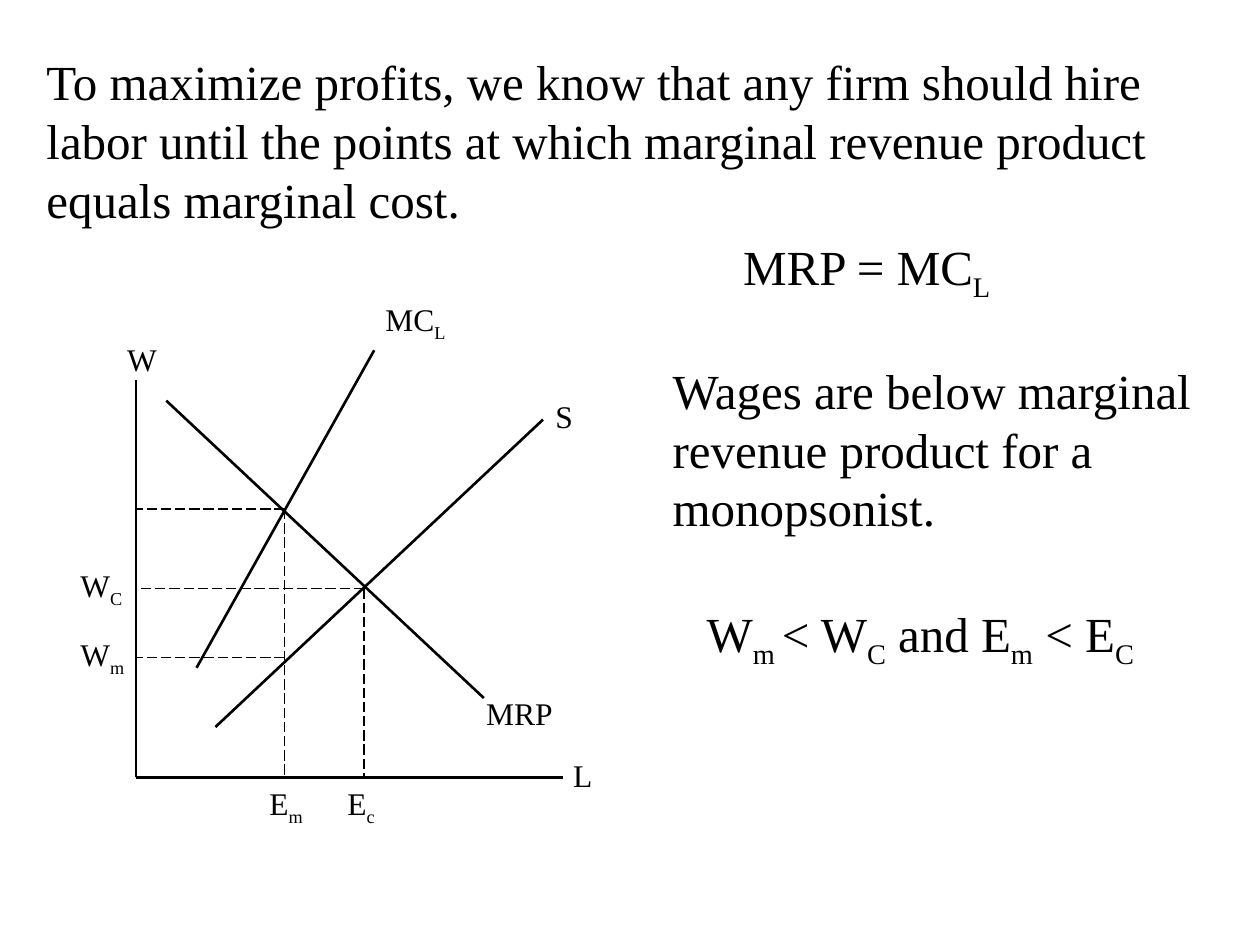
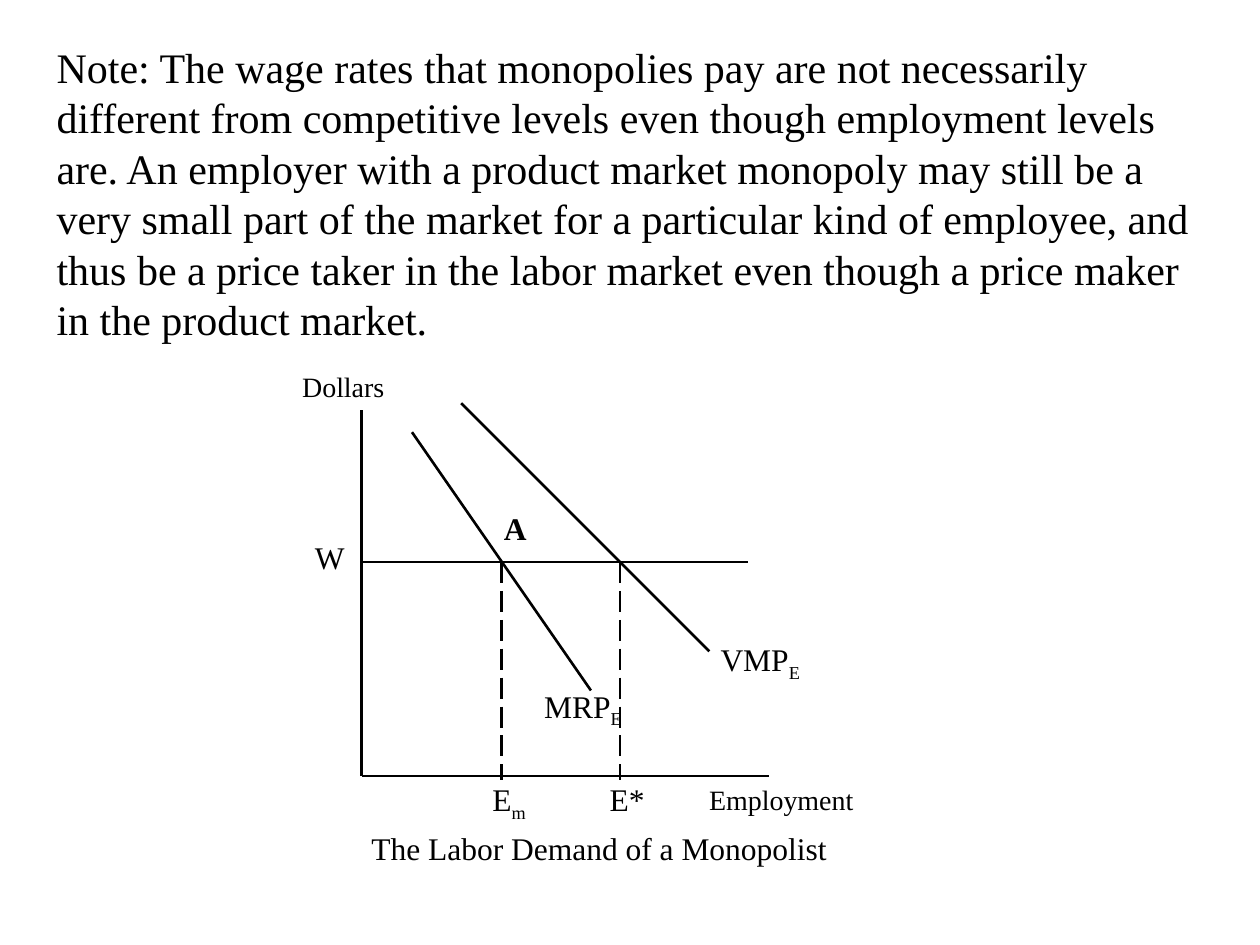
from dataclasses import dataclass

import pptx
import pptx.dml.color
import pptx.enum.dml
import pptx.enum.shapes
import pptx.enum.text
import pptx.util
from pptx.util import Inches


@dataclass(frozen=True)
class Theme:
    font: str = "Times New Roman"
    ink: str = "000000"
    paper: str = "FFFFFF"
    statement: int = 28
    note: int = 24
    label: int = 18
    axis_name: int = 16
    curve_width: float = 1.5
    guide_width: float = 0.75
    subscript: str = "-25000"
    label_slack: float = 0.05


THEME = Theme()


def rgb(value):
    return pptx.dml.color.RGBColor.from_string(value)


def add_slide(prs):
    s = prs.slides.add_slide(prs.slide_layouts[6])
    s.background.fill.solid()
    s.background.fill.fore_color.rgb = rgb(THEME.paper)
    return s


def set_font(r, size, bold):
    formats = {"name": THEME.font, "size": pptx.util.Pt(size), "bold": bold}
    for name, value in formats.items():
        setattr(r.font, name, value)
    r.font.color.rgb = rgb(THEME.ink)


def add_text(s, text, left, top, width, size=THEME.label, lines=1, middle=False, bold=None):
    parts = text.split("|")
    em = size / 72
    height = 1.2 * em * lines + 0.1 + (0.15 * em if len(parts) > 1 else 0)
    if lines == 1:
        width += THEME.label_slack
    sp = s.shapes.add_textbox(Inches(left), Inches(top), Inches(width), Inches(height))
    tf = sp.text_frame
    anchor = pptx.enum.text.MSO_ANCHOR
    formats = {
        "word_wrap": lines > 1,
        "auto_size": pptx.enum.text.MSO_AUTO_SIZE.SHAPE_TO_FIT_TEXT,
        "vertical_anchor": anchor.MIDDLE if middle else anchor.TOP,
    }
    for name, value in formats.items():
        setattr(tf, name, value)
    p = tf.paragraphs[0]
    for i, part in enumerate(parts):
        r = p.add_run()
        r.text = part
        set_font(r, size, bold)
        if i % 2:
            r._r.get_or_add_rPr().set("baseline", THEME.subscript)


def add_line(s, start, end, width=THEME.curve_width, dashed=False):
    sp = s.shapes.add_connector(
        pptx.enum.shapes.MSO_CONNECTOR.STRAIGHT, *(Inches(v) for v in (*start, *end))
    )
    sp.line.width = pptx.util.Pt(width)
    sp.line.color.rgb = rgb(THEME.ink)
    if dashed:
        sp.line.dash_style = pptx.enum.dml.MSO_LINE.LONG_DASH
    sp._element.spPr.append(pptx.oxml.parse_xml(
        '<a:effectLst xmlns:a="http://schemas.openxmlformats.org/drawingml/2006/main"/>'
    ))


def add_axes(s, origin, top, right):
    x, y = origin
    add_line(s, origin, (x, top))
    add_line(s, origin, (right, y))


def add_labels(s, labels):
    for label in labels:
        add_text(s, *label)


def monopsony_slide(prs):
    s = add_slide(prs)
    add_text(s, "To maximize profits, we know that any firm should hire labor until the points "
             "at which marginal revenue product equals marginal cost.",
             0.27, 0.36, 9.55, THEME.statement, lines=3)
    add_text(s, "MRP = MC|L", 5.8, 1.83, 2.17, THEME.statement, middle=True)

    origin = left, base = 1.08, 6.17
    add_axes(s, origin, 3.02, 4.47)
    mrp = (1.32, 3.18), (3.84, 5.54)
    supply = (1.71, 5.77), (4.31, 3.33)
    marginal_cost = (1.56, 5.3), (2.97, 2.78)
    for curve in (mrp, supply, marginal_cost):
        add_line(s, *curve)

    monopsony_x, competitive_x = 2.26, 2.89
    mrp_y, competitive_y, monopsony_y = 4.04, 4.67, 5.22
    guides = [
        ((monopsony_x, mrp_y), (monopsony_x, base)),
        ((monopsony_x, mrp_y), (left, mrp_y)),
        ((competitive_x, competitive_y), (competitive_x, base)),
        ((competitive_x, competitive_y), (left, competitive_y)),
        ((monopsony_x, monopsony_y), (left, monopsony_y)),
    ]
    for guide in guides:
        add_line(s, *guide, THEME.guide_width, dashed=True)

    add_labels(s, [
        ("W", 0.91, 2.65, 0.43),
        ("L", 4.45, 5.95, 0.35),
        ("MRP", 3.76, 5.46, 0.73),
        ("S", 4.31, 3.1, 0.34),
        ("MC|L", 2.96, 2.33, 0.68),
        ("E|m", 2.04, base, 0.46),
        ("E|c", 2.66, base, 0.41),
        ("W|m", 0.54, 4.99, 0.55),
        ("W|C", 0.54, 4.44, 0.53),
    ])
    add_text(s, "Wages are below marginal revenue product for a monopsonist.",
             5.24, 2.81, 4.49, THEME.statement, lines=3)
    add_text(s, "W|m |< W|C| and E|m| < E|C", 5.51, 4.74, 3.6, THEME.statement)


def monopolist_slide(prs):
    s = add_slide(prs)
    add_text(s, "Note: The wage rates that monopolies pay are not necessarily different from "
             "competitive levels even though employment levels are. An employer with a product "
             "market monopoly may still be a very small part of the market for a particular kind "
             "of employee, and thus be a price taker in the labor market even though a price "
             "maker in the product market.",
             0.35, 0.28, 9.21, THEME.note, lines=6)

    origin = left, base = 2.87, 6.16
    wage_y = 4.46
    add_axes(s, origin, 3.25, 6.1)
    wage = (left, wage_y), (5.94, wage_y)
    vmp = (3.66, 3.2), (5.63, 5.17)
    mrp = (3.27, 3.43), (4.69, 5.48)
    for curve in (wage, vmp, mrp):
        add_line(s, *curve)
    for employment_x in (3.98, 4.92):
        add_line(s, (employment_x, wage_y), (employment_x, base + 0.03), dashed=True)

    add_labels(s, [
        ("Employment", 5.53, base, 1.39, THEME.axis_name),
        ("Dollars", 2.3, 2.88, 0.85, THEME.axis_name),
        ("The Labor Demand of a Monopolist", 2.85, 6.53, 3.81),
        ("VMP|E", 5.62, 5.03, 0.83),
        ("MRP|E", 4.22, 5.4, 0.81),
        ("W", 2.4, 4.22, 0.43),
        ("E|m", 3.81, 6.14, 0.46),
        ("E*", 4.74, 6.14, 0.48),
    ])
    add_text(s, "A", 3.9, 3.99, 0.38, bold=True)


def main():
    prs = pptx.Presentation()
    prs.slide_width, prs.slide_height = Inches(10), Inches(7.5)
    monopsony_slide(prs)
    monopolist_slide(prs)
    prs.save("out.pptx")


if __name__ == "__main__":
    main()
